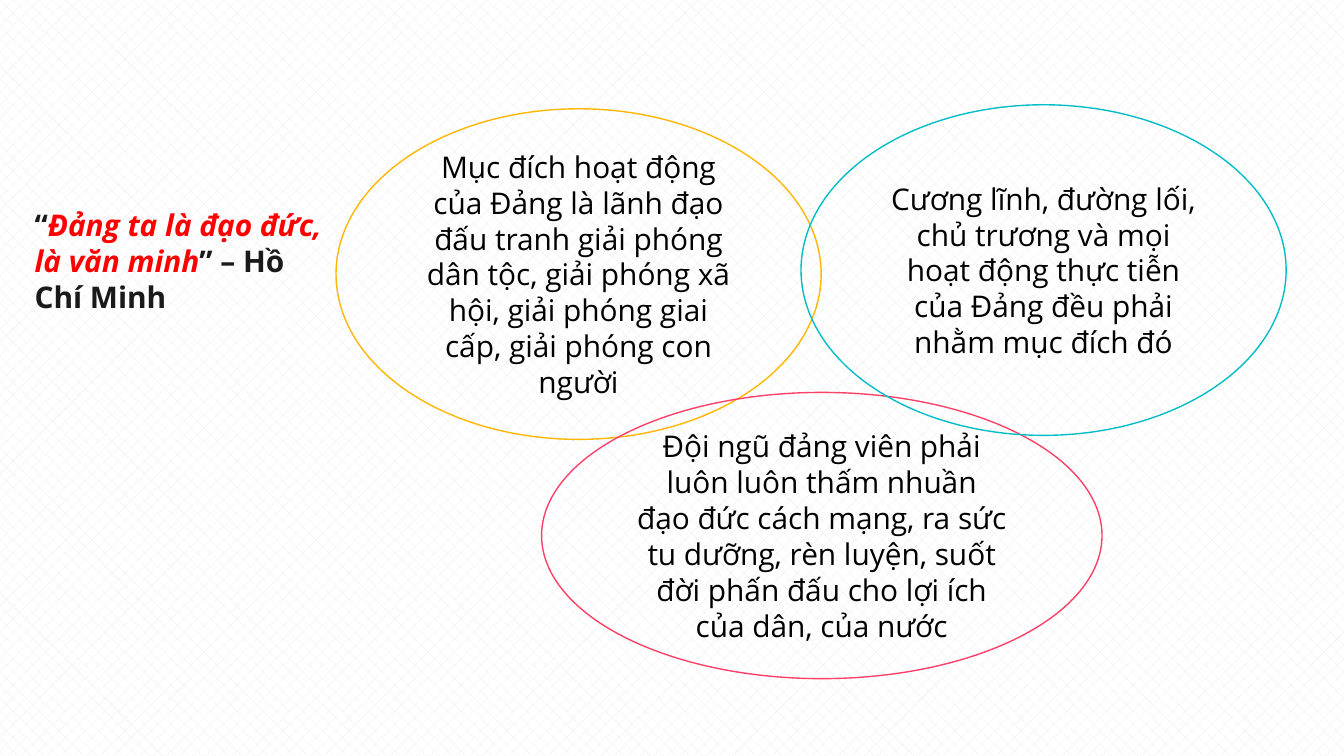
from pptx import Presentation
from pptx.dml.color import RGBColor
from pptx.enum.dml import MSO_PATTERN
from pptx.enum.shapes import MSO_SHAPE
from pptx.enum.text import MSO_ANCHOR, PP_ALIGN
from pptx.util import Inches, Pt

BLACK = RGBColor(0x00, 0x00, 0x00)
INK = RGBColor(0x1A, 0x1A, 0x1A)
RED = RGBColor(0xFF, 0x00, 0x00)
AMBER = RGBColor(0xFF, 0xB6, 0x00)
PINK = RGBColor(0xFC, 0x40, 0x67)
TEAL = RGBColor(0x02, 0xBD, 0xC7)
HATCH = RGBColor(0xE9, 0xED, 0xEE)
WHITE = RGBColor(0xFF, 0xFF, 0xFF)

QUOTE_BOX = (0.16, 0.61, 2.34, 2.66)
QUOTE = [
    ("“", INK, False),
    ("Đảng ta là đạo đức, là văn minh", RED, True),
    ("” – Hồ Chí Minh", INK, False),
]
PRINCIPLES = [
    ("Mục đích hoạt động của Đảng là lãnh đạo đấu tranh giải phóng dân tộc, "
     "giải phóng xã hội, giải phóng giai cấp, giải phóng con người",
     AMBER, (2.5, 0.81, 3.61, 2.46)),
    ("Đội ngũ đảng viên phải luôn luôn thấm nhuần đạo đức cách mạng, ra sức "
     "tu dưỡng, rèn luyện, suốt đời phấn đấu cho lợi ích của dân, của nước",
     PINK, (4.03, 2.92, 4.17, 2.13)),
    ("Cương lĩnh, đường lối, chủ trương và mọi hoạt động thực tiễn của Đảng "
     "đều phải nhằm mục đích đó",
     TEAL, (5.96, 0.78, 3.61, 2.46)),
]
FRAME_FORMAT = {
    "word_wrap": True,
    "vertical_anchor": MSO_ANCHOR.MIDDLE,
    "margin_left": Inches(0.1),
    "margin_right": Inches(0.1),
    "margin_top": Inches(0.1),
    "margin_bottom": Inches(0.1),
}
FONT_FORMAT = {"name": "Open Sans", "size": Pt(16)}


def apply_format(target, values):
    for name, value in values.items():
        setattr(target, name, value)


def write(shape, runs, alignment, bold):
    apply_format(shape.text_frame, FRAME_FORMAT)
    paragraph = shape.text_frame.paragraphs[0]
    paragraph.alignment = alignment
    for text, color, italic in runs:
        run = paragraph.add_run()
        run.text = text
        apply_format(run.font, {**FONT_FORMAT, "bold": bold, "italic": italic})
        run.font.color.rgb = color


def main():
    deck = Presentation()
    deck.slide_width = Inches(10)
    deck.slide_height = Inches(10 * 9 / 16)
    slide = deck.slides.add_slide(deck.slide_layouts[6])

    backdrop = slide.background.fill
    backdrop.patterned()
    backdrop.pattern = MSO_PATTERN.PERCENT_30
    backdrop.fore_color.rgb = HATCH
    backdrop.back_color.rgb = WHITE

    quote = slide.shapes.add_textbox(*map(Inches, QUOTE_BOX))
    write(quote, QUOTE, PP_ALIGN.LEFT, True)

    for principle, color, box in PRINCIPLES:
        oval = slide.shapes.add_shape(MSO_SHAPE.OVAL, *map(Inches, box))
        oval.shadow.inherit = False
        oval.fill.background()
        oval.line.color.rgb = color
        oval.line.width = Pt(0.75)
        write(oval, [(principle, BLACK, False)], PP_ALIGN.CENTER, False)

    deck.save("out.pptx")


if __name__ == "__main__":
    main()
